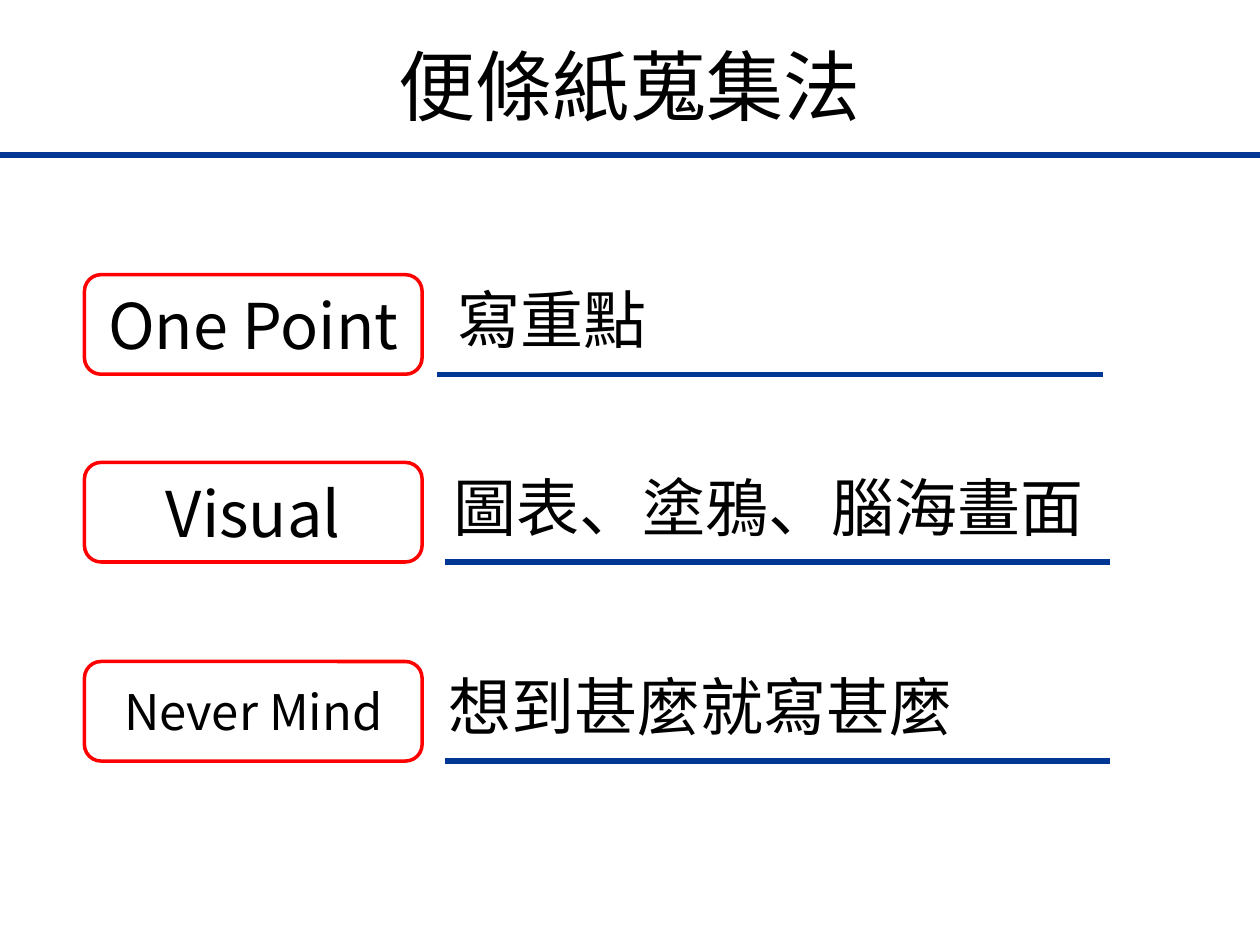
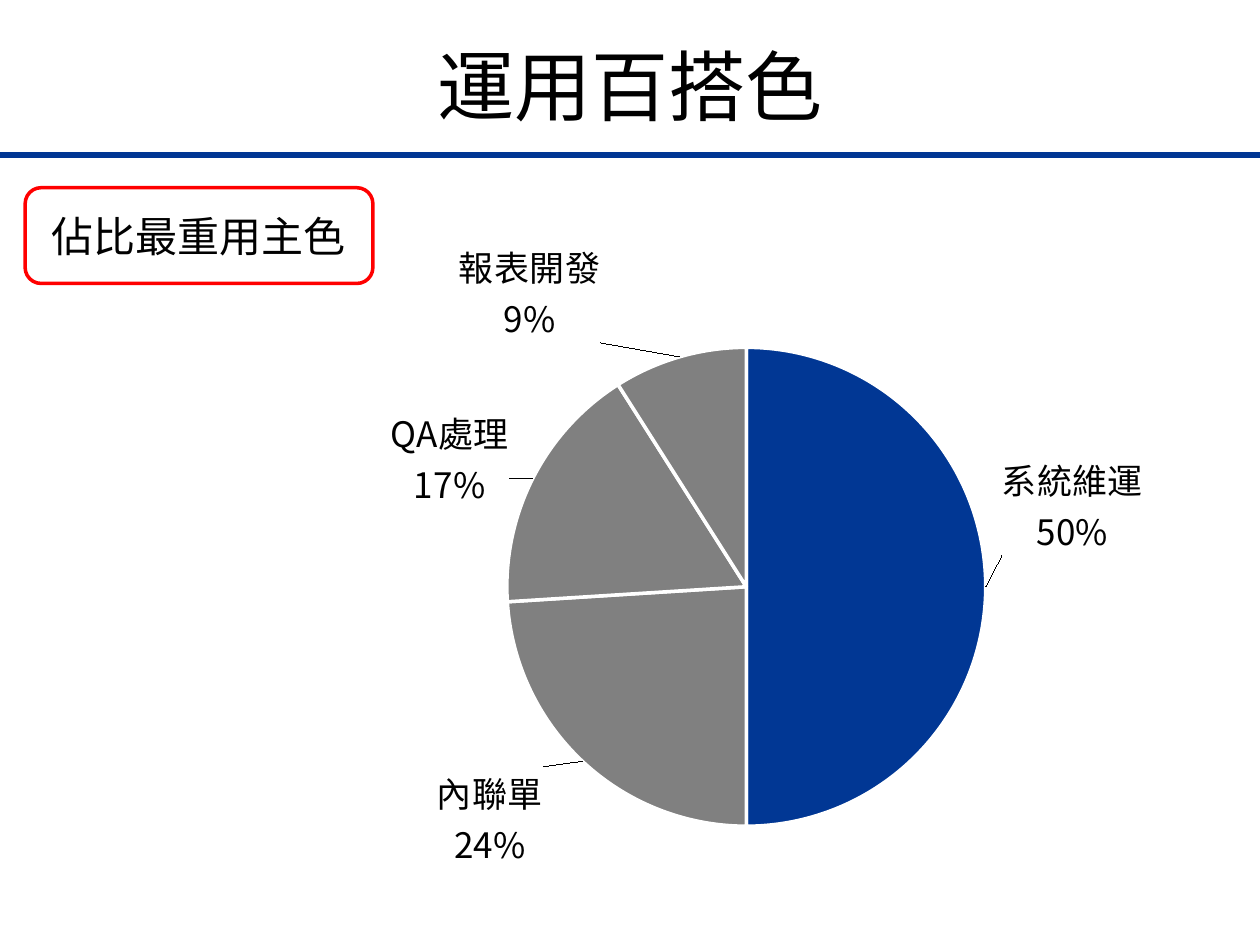
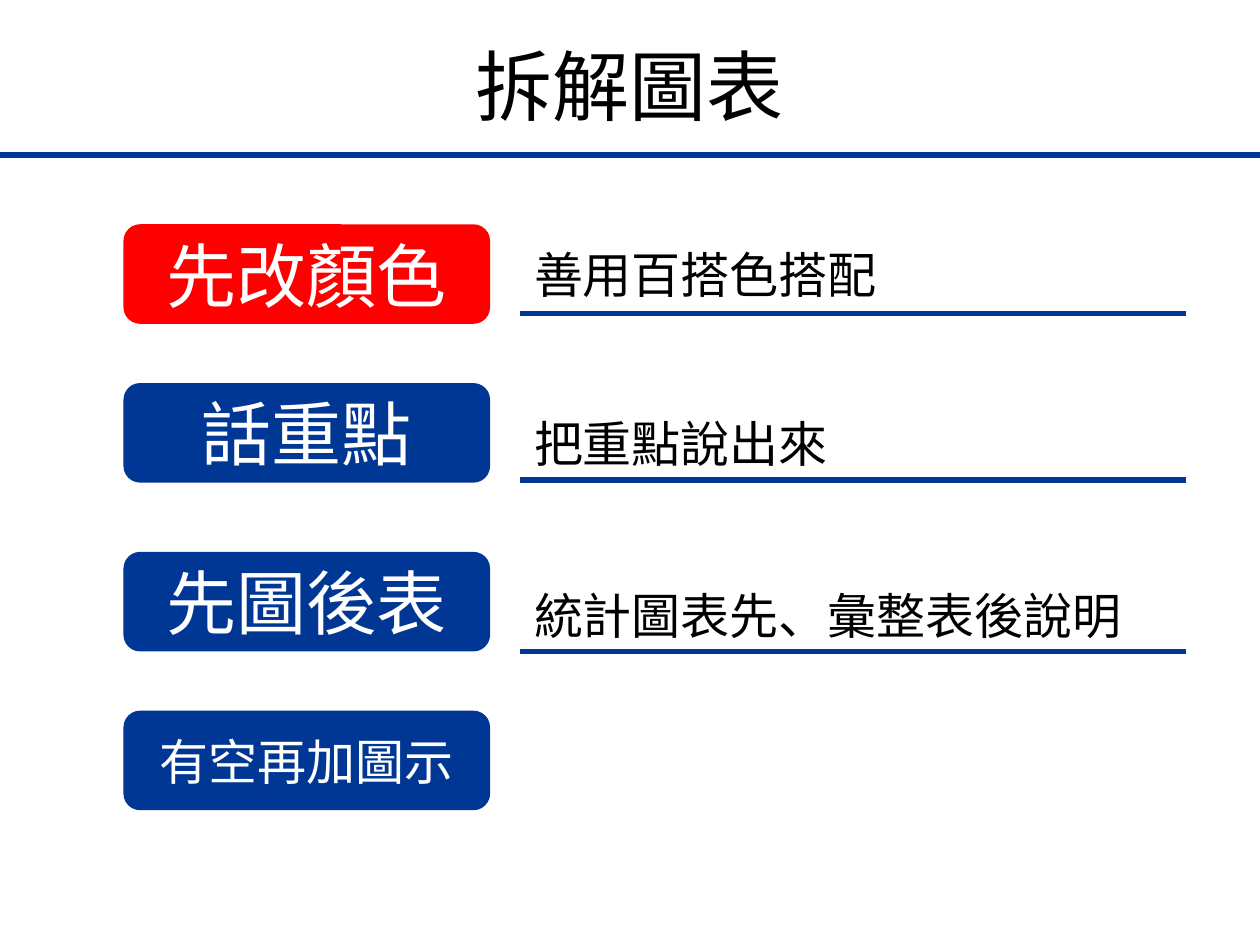
import pptx
import pptx.util
import pptx.chart.data
import pptx.dml.color
import pptx.enum.chart
import pptx.enum.shapes
import pptx.enum.text
import pptx.oxml.ns
import pptx.oxml.xmlchemy
from dataclasses import dataclass

Inches = pptx.util.Inches
Pt = pptx.util.Pt
qn = pptx.oxml.ns.qn
new_element = pptx.oxml.xmlchemy.OxmlElement
ALIGN = pptx.enum.text.PP_ALIGN
ANCHOR = pptx.enum.text.MSO_ANCHOR


@dataclass(frozen=True)
class Theme:
    font: str = "Noto Sans CJK SC"
    blue: str = "013794"
    red: str = "FF0000"
    gray: str = "808080"
    white: str = "FFFFFF"
    black: str = "000000"
    title: int = 44
    tag_large: int = 40
    large: int = 36
    medium: int = 28
    small: int = 24
    label: int = 20
    rule: int = 3
    outline: int = 2
    tag_h: float = 0.79
    rule_w: float = 5.28


T = Theme()


def rgb(color):
    return pptx.dml.color.RGBColor.from_string(color)


def set_font(font, size, color):
    font.size = Pt(size)
    font.name = T.font
    font.color.rgb = rgb(color)


def write(s, text, size=T.large, color=T.black, align=ALIGN.LEFT, anchor=ANCHOR.TOP):
    tf = s.text_frame
    tf.word_wrap = True
    tf.vertical_anchor = anchor
    p = tf.paragraphs[0]
    p.alignment = align
    r = p.add_run()
    r.text = text
    set_font(r.font, size, color)
    # East Asian glyphs take their own typeface entry
    ea = new_element("a:ea")
    ea.set("typeface", T.font)
    r.font._element.find(qn("a:latin")).addnext(ea)


def add_text(slide, x, y, w, h, text, **fmt):
    write(slide.shapes.add_textbox(Inches(x), Inches(y), Inches(w), Inches(h)), text, **fmt)


def add_rule(slide, x, y, w):
    s = slide.shapes.add_connector(pptx.enum.shapes.MSO_CONNECTOR.STRAIGHT,
                                   Inches(x), Inches(y), Inches(x + w), Inches(y))
    s.line.color.rgb = rgb(T.blue)
    s.line.width = Pt(T.rule)
    s._element.spPr.append(new_element("a:effectLst"))


def add_tag(slide, x, y, w, text, h=T.tag_h, fill=None, line=None, **fmt):
    s = slide.shapes.add_shape(pptx.enum.shapes.MSO_SHAPE.ROUNDED_RECTANGLE,
                               Inches(x), Inches(y), Inches(w), Inches(h))
    s.shadow.inherit = False
    if fill:
        s.fill.solid()
        s.fill.fore_color.rgb = rgb(fill)
    else:
        s.fill.background()
    if line:
        s.line.color.rgb = rgb(line)
        s.line.width = Pt(T.outline)
    else:
        s.line.fill.background()
    write(s, text, align=ALIGN.CENTER, anchor=ANCHOR.MIDDLE, **fmt)


def add_slide(prs, title):
    slide = prs.slides.add_slide(prs.slide_layouts[6])
    add_text(slide, 0.5, 0.05, 9, 1.25, title, size=T.title,
             align=ALIGN.CENTER, anchor=ANCHOR.MIDDLE)
    add_rule(slide, 0, 1.23, 10)
    return slide


def manual_layout(inner=False, **values):
    layout = new_element("c:layout")
    manual = new_element("c:manualLayout")
    layout.append(manual)
    settings = dict(layoutTarget="inner", xMode="edge", yMode="edge") if inner else {}
    for name, value in {**settings, **values}.items():
        item = new_element("c:" + name)
        item.set("val", str(value))
        manual.append(item)
    return layout


def label_point(point, dx, dy):
    """Show category and percentage, moved by a fraction of the chart size."""
    label = point.data_label
    set_font(label.font, T.label, T.black)
    label.position = pptx.enum.chart.XL_LABEL_POSITION.OUTSIDE_END
    d = point._ser.xpath("c:dLbls/c:dLbl")[-1]
    d.find(qn("c:idx")).addnext(manual_layout(x=dx, y=dy))
    for name, shown in (("showVal", "0"), ("showCatName", "1"), ("showPercent", "1")):
        d.find(qn("c:" + name)).set("val", shown)
    separator = new_element("c:separator")
    separator.text = "\n"
    d.append(separator)


def add_pie(slide, x, y, w, h, slices):
    data = pptx.chart.data.CategoryChartData()
    data.categories = [name for name, *_ in slices]
    data.add_series("Series 1", [value for _, value, *_ in slices])
    chart = slide.shapes.add_chart(pptx.enum.chart.XL_CHART_TYPE.PIE, Inches(x), Inches(y),
                                   Inches(w), Inches(h), data).chart
    chart.has_legend = False
    chart.has_title = False
    set_font(chart.font, T.label, T.black)
    plot = chart.plots[0]
    plot.vary_by_categories = True

    # Fixed plot area
    area = chart._chartSpace.chart.plotArea
    for old in area.findall(qn("c:layout")):
        area.remove(old)
    area.insert(0, manual_layout(inner=True, x=0.2, y=0.18, w=0.57, h=0.7))

    # Slices and their labels
    series = plot.series[0]
    for i, (_, _, color, dx, dy) in enumerate(slices):
        point = series.points[i]
        point.format.fill.solid()
        point.format.fill.fore_color.rgb = rgb(color)
        point.format.line.color.rgb = rgb(T.white)
        point.format.line.width = Pt(T.outline)
        label_point(point, dx, dy)
    labels = series.data_labels
    labels.show_value = False
    labels.show_category_name = True
    labels.show_percentage = True


def sticky_notes(prs):
    slide = add_slide(prs, "便條紙蒐集法")
    rows = [("One Point", T.large, "寫重點", 2.18, 3.53, 3.47),
            ("Visual", T.large, "圖表、塗鴉、腦海畫面", 3.67, 3.5, 3.53),
            ("Never Mind", T.medium, "想到甚麼就寫甚麼", 5.25, 3.46, 3.53)]
    for tag, size, note, y, note_x, rule_x in rows:
        add_tag(slide, 0.67, y, 2.68, tag, line=T.red, size=size)
        add_text(slide, note_x, y, T.rule_w, 0.71, note)
        add_rule(slide, rule_x, y + T.tag_h, T.rule_w)


def matching_colors(prs):
    slide = add_slide(prs, "運用百搭色")
    # name, share, colour, label shift
    slices = [("系統維運", 50, T.blue, 0.01, -0.12),
              ("內聯單", 24, T.gray, -0.04, 0),
              ("QA處理", 17, T.gray, -0.02, 0.05),
              ("報表開發", 9, T.gray, -0.09, -0.01)]
    add_pie(slide, 2.64, 1.78, 6.77, 5.43, slices)
    add_tag(slide, 0.2, 1.49, 2.76, "佔比最重用主色", h=0.76,
            fill=T.white, line=T.red, size=T.small)


def split_charts(prs):
    slide = add_slide(prs, "拆解圖表")
    tags = [("先改顏色", 1.78, T.red, T.tag_large), ("話重點", 3.04, T.blue, T.tag_large),
            ("先圖後表", 4.38, T.blue, T.tag_large), ("有空再加圖示", 5.64, T.blue, T.medium)]
    for text, y, fill, size in tags:
        add_tag(slide, 0.98, y, 2.91, text, fill=fill, size=size, color=T.white)
    notes = [("善用百搭色搭配", 1.89, 2.49), ("把重點說出來", 3.23, 3.81),
             ("統計圖表先、彙整表後說明", 4.6, 5.17)]
    for text, y, rule_y in notes:
        add_text(slide, 4.14, y, T.rule_w, 0.57, text, size=T.medium)
        add_rule(slide, 4.13, rule_y, T.rule_w)


def main():
    prs = pptx.Presentation()
    prs.slide_width = Inches(10)
    prs.slide_height = Inches(7.5)
    sticky_notes(prs)
    matching_colors(prs)
    split_charts(prs)
    prs.save("out.pptx")


if __name__ == "__main__":
    main()
